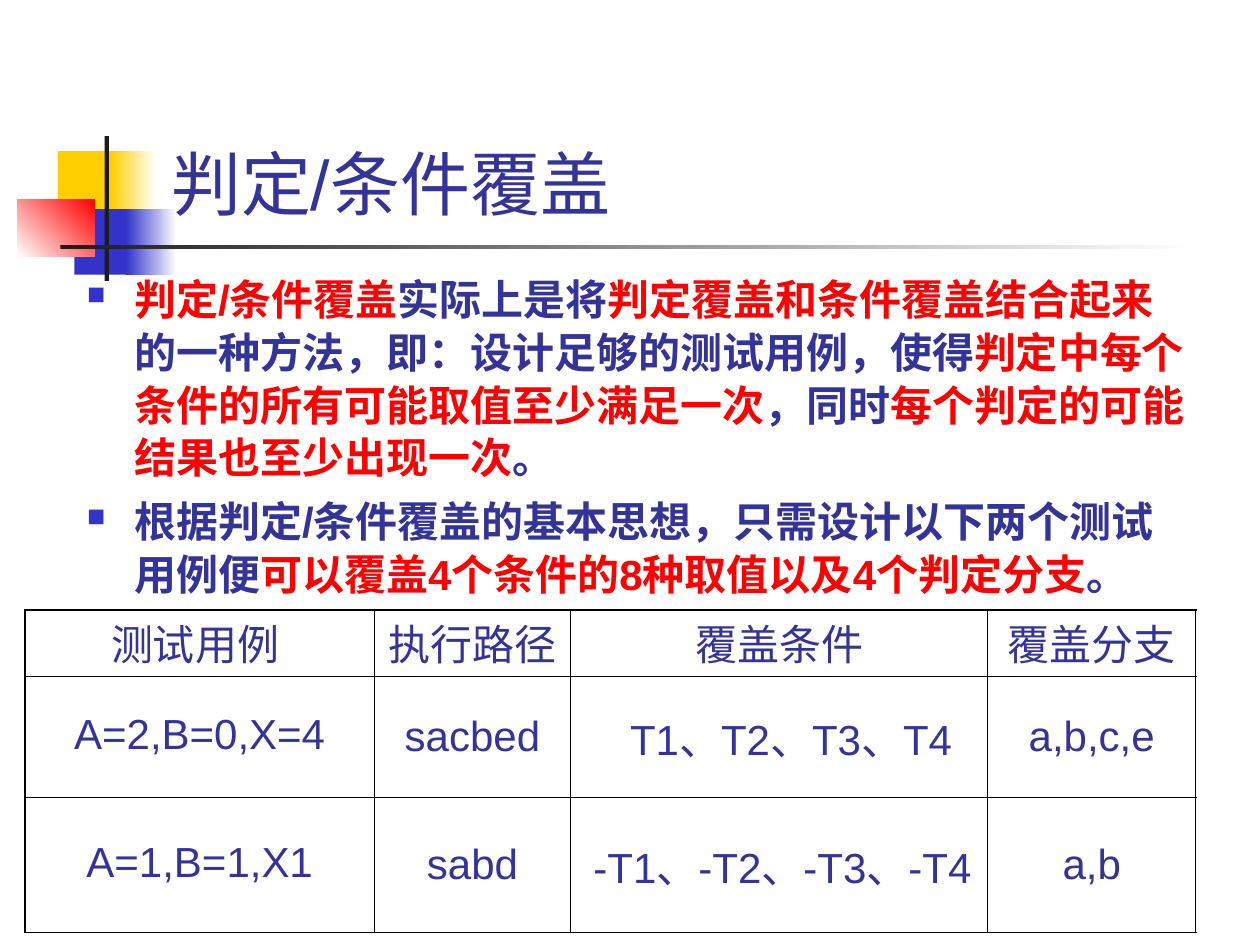
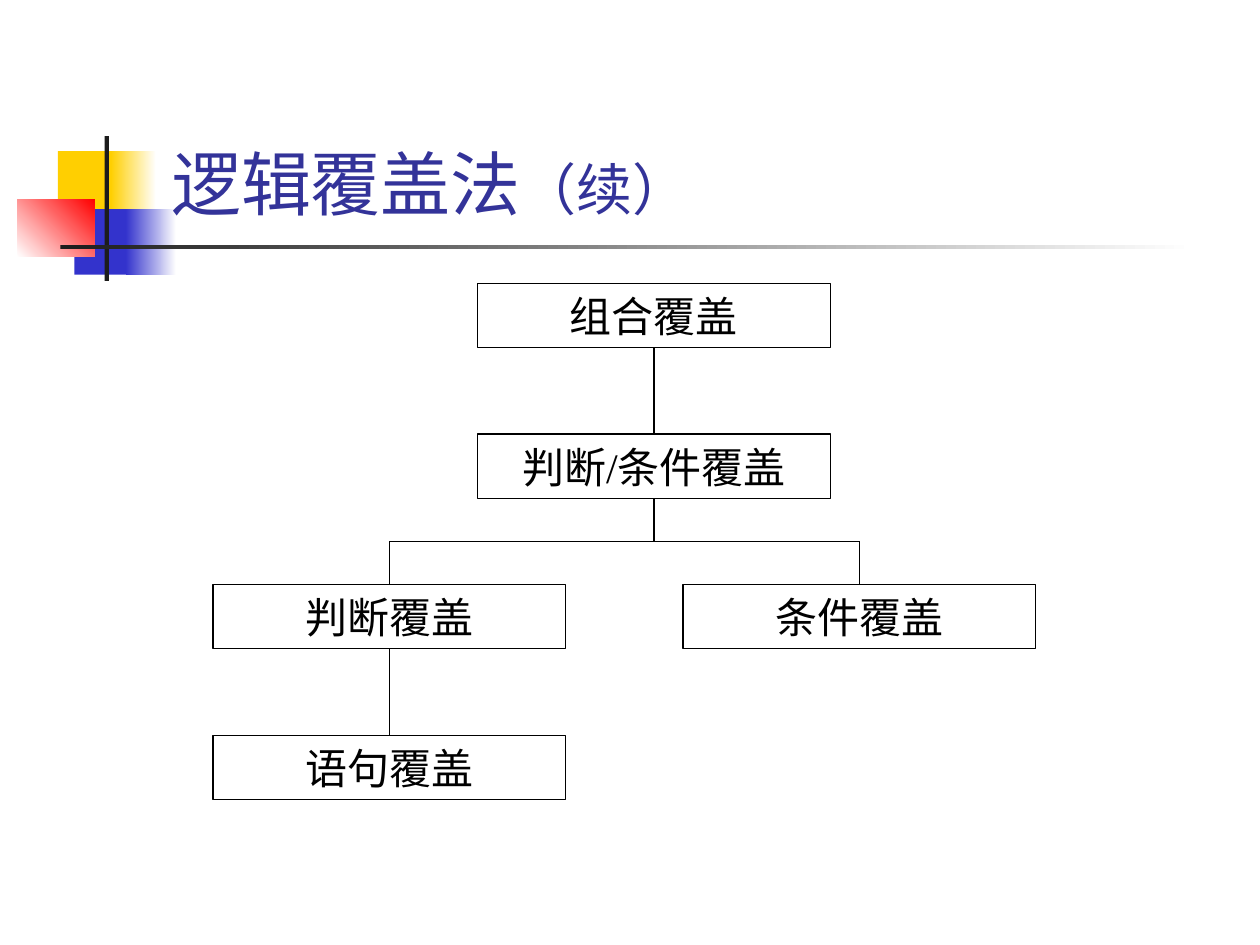
from dataclasses import dataclass
from lxml import etree
from pptx import Presentation
from pptx import util as u
from pptx.dml import color as dml
from pptx.enum import shapes, text
from pptx.oxml import ns


@dataclass(frozen=True)
class Theme:
    ink: str = "333399"
    red: str = "FF0000"
    blue: str = "3333CC"
    gold: str = "FFCF01"
    dark: str = "1C1C1C"
    white: str = "FFFFFF"
    black: str = "000000"
    sans: str = "Arial"
    serif: str = "Times New Roman"
    title: int = 40
    sub: int = 32
    body: int = 24
    thick: float = 1.08
    thin: float = 0.45
    wire: float = 0.75


@dataclass(frozen=True)
class Box:
    x: float
    y: float
    w: float
    h: float

    def sub(self, x, y, w, h):
        return Box(self.x + x, self.y + y, w, h)

    def emu(self):
        return [grid(v) for v in (self.x, self.y, self.w, self.h)]


T = Theme()
COLS, ROWS = 100, 75
CELL = u.Inches(10) // COLS
PAGE = Box(0, 0, COLS, ROWS)
MID = text.PP_ALIGN.CENTER


def grid(n):
    return u.Emu(round(n * CELL))


def rgb(code):
    return dml.RGBColor.from_string(code)


def node(host, tag, **atts):
    return etree.SubElement(host, ns.qn(tag), atts)


def add(par, words, size=T.body, ink=T.ink, face=T.sans, bold=False):
    run = par.add_run()
    run.text = words
    font = run.font
    font.size, font.name, font.bold = u.Pt(size), face, bold
    font.color.rgb = rgb(ink)


def rect(slide, box):
    shape = slide.shapes.add_shape(shapes.MSO_SHAPE.RECTANGLE, *box.emu())
    shape.shadow.inherit = False
    return shape


def frame(slide, box, anchor):
    area = slide.shapes.add_textbox(*box.emu()).text_frame
    area.word_wrap = True
    area.vertical_anchor = anchor
    return area


def block(slide, box, first, last=None, angle=0):
    shape = rect(slide, box)
    shape.line.fill.background()
    if last is None:
        shape.fill.solid()
        shape.fill.fore_color.rgb = rgb(first)
        return
    shape.fill.gradient()
    shape.fill.gradient_angle = angle
    for stop, tint in zip(shape.fill.gradient_stops, (first, last)):
        stop.color.rgb = rgb(tint)


def badge(slide, box):
    block(slide, box.sub(3.2, 1.2, 4.8, 5.2), T.gold)
    block(slide, box.sub(7.4, 1.2, 3.6, 5.2), T.gold, T.white)
    block(slide, box.sub(4.5, 5.8, 4.6, 5.2), T.blue)
    block(slide, box.sub(8.6, 5.8, 4, 5.2), T.blue, T.white)
    block(slide, box.sub(0, 5, 6.1, 4.6), T.white, T.red, 45)
    block(slide, box.sub(6.9, 0, 0.35, 11.5), T.dark)
    block(slide, box.sub(3.4, 8.65, 90, 0.35), T.dark, T.white)


def head(slide, box, *parts):
    badge(slide, box.sub(1.4, 10.8, 93.4, 11.5))
    area = frame(slide, box.sub(12.6, 2.3, 85.2, 16), text.MSO_ANCHOR.BOTTOM)
    for words, size in parts:
        add(area.paragraphs[0], words, size)


def bullet(par):
    ppr = par._p.get_or_add_pPr()
    ppr.set("marL", str(grid(3.75)))
    ppr.set("indent", str(-grid(3.75)))
    node(node(ppr, "a:buClr"), "a:srgbClr", val=T.blue)
    node(ppr, "a:buSzPct", val="60000")
    node(ppr, "a:buChar", char="■")


def points(slide, box, items):
    area = frame(slide, box, text.MSO_ANCHOR.TOP)
    for i, item in enumerate(items):
        par = area.add_paragraph() if i else area.paragraphs[0]
        bullet(par)
        par.line_spacing = 1.05
        par.space_before = u.Pt(6 if i else 0)
        for words, ink in item:
            add(par, words, ink=ink, bold=True)


def edges(cell, row, col, last):
    tcpr = cell._tc.get_or_add_tcPr()
    bold = {"L": col == 0, "R": col == last, "T": row == 0, "B": False}
    for i, (side, wide) in enumerate(bold.items()):
        line = node(tcpr, f"a:ln{side}", w=str(u.Pt(T.thick if wide else T.thin)))
        node(node(line, "a:solidFill"), "a:srgbClr", val=T.black)
        tcpr.insert(i, line)


def cases(slide, box, rows, wide, high):
    table = slide.shapes.add_table(len(rows), len(wide), *box.emu()).table
    table.first_row = table.horz_banding = False
    for col, size in zip(table.columns, wide):
        col.width = grid(size)
    for line, size in zip(table.rows, high):
        line.height = grid(size)
    for r, row in enumerate(rows):
        for c, words in enumerate(row):
            cell = table.cell(r, c)
            cell.fill.background()
            cell.vertical_anchor = text.MSO_ANCHOR.MIDDLE
            edges(cell, r, c, len(wide) - 1)
            par = cell.text_frame.paragraphs[0]
            par.alignment = MID
            par.line_spacing = 0.9 if r == 0 or c == 0 else 1.0
            add(par, words)
    lead, tail = (table.cell(r, 2).text_frame.paragraphs[0] for r in (1, 2))
    tail.alignment = text.PP_ALIGN.LEFT
    for par, gap in ((lead, 2.8), (tail, 0.8)):
        par._p.get_or_add_pPr().set("indent", str(grid(gap)))


def step(slide, box, words):
    shape = rect(slide, box)
    shape.fill.background()
    shape.line.color.rgb = rgb(T.black)
    shape.line.width = u.Pt(T.wire)
    area = shape.text_frame
    area.word_wrap = True
    area.vertical_anchor = text.MSO_ANCHOR.MIDDLE
    area.paragraphs[0].alignment = MID
    add(area.paragraphs[0], words, ink=T.black, face=T.serif)
    return shape


def wire(slide, start, end, top=None, low=None):
    line = slide.shapes.add_connector(
        shapes.MSO_CONNECTOR.STRAIGHT, *map(grid, (*start, *end)))
    line.line.color.rgb = rgb(T.black)
    line.line.width = u.Pt(T.wire)
    node(line._element.spPr, "a:effectLst")
    if top is not None:
        line.begin_connect(top, 2)
    if low is not None:
        line.end_connect(low, 0)


def tree(slide, box):
    wide, high, pitch = 28, 5.1, 11.95
    left, main, right = 0, 21, 37.3
    nodes = {}
    for words, x, level in (
        ("组合覆盖", main, 0),
        ("判断/条件覆盖", main, 1),
        ("判断覆盖", left, 2),
        ("条件覆盖", right, 2),
        ("语句覆盖", left, 3),
    ):
        spot = box.sub(x, level * pitch, wide, high)
        nodes[x, level] = step(slide, spot, words)

    def mid(x, y):
        return box.x + x + wide / 2, box.y + y

    for x, level in ((main, 0), (left, 2)):
        wire(slide, mid(x, level * pitch + high), mid(x, (level + 1) * pitch),
             nodes[x, level], nodes[x, level + 1])
    fork = (3 * pitch + high) / 2
    wire(slide, mid(main, pitch + high), mid(main, fork), nodes[main, 1])
    wire(slide, mid(left, fork), mid(right, fork))
    for x in (left, right):
        wire(slide, mid(x, fork), mid(x, 2 * pitch), low=nodes[x, 2])


def cover(slide):
    head(slide, PAGE, ("判定/条件覆盖", T.title))
    points(slide, PAGE.sub(5.9, 21, 89.8, 27.2), [
        [("判定/条件覆盖", T.red), ("实际上是将", T.ink),
         ("判定覆盖和条件覆盖结合起来", T.red),
         ("的一种方法，即：设计足够的测试用例，使得", T.ink),
         ("判定中每个条件的所有可能取值至少满足一次", T.red),
         ("，同时", T.ink), ("每个判定的可能结果也至少出现一次", T.red),
         ("。", T.ink)],
        [("根据判定/条件覆盖的基本思想，只需设计以下两个测试用例便", T.ink),
         ("可以覆盖4个条件的8种取值以及4个判定分支", T.red), ("。", T.ink)],
    ])
    cases(slide, PAGE.sub(2, 48.4, 92.9, 25.6), [
        ("测试用例 ", "执行路径 ", "覆盖条件", "覆盖分支"),
        ("A=2,B=0,X=4", "sacbed", "T1、T2、T3、T4 ", "a,b,c,e"),
        ("A=1,B=1,X1", "sabd", "-T1、-T2、-T3、-T4", "a,b"),
    ], (27.7, 15.6, 33.1, 16.5), (5.3, 9.6, 10.7))


def logic(slide):
    head(slide, PAGE, ("逻辑覆盖法", T.title), ("（续）", T.sub))
    tree(slide, PAGE.sub(16.9, 22.5, 65.3, 40.95))


def main():
    deck = Presentation()
    deck.slide_width, deck.slide_height = grid(COLS), grid(ROWS)
    for fill in (cover, logic):
        fill(deck.slides.add_slide(deck.slide_layouts[6]))
    deck.save("out.pptx")


if __name__ == "__main__":
    main()
